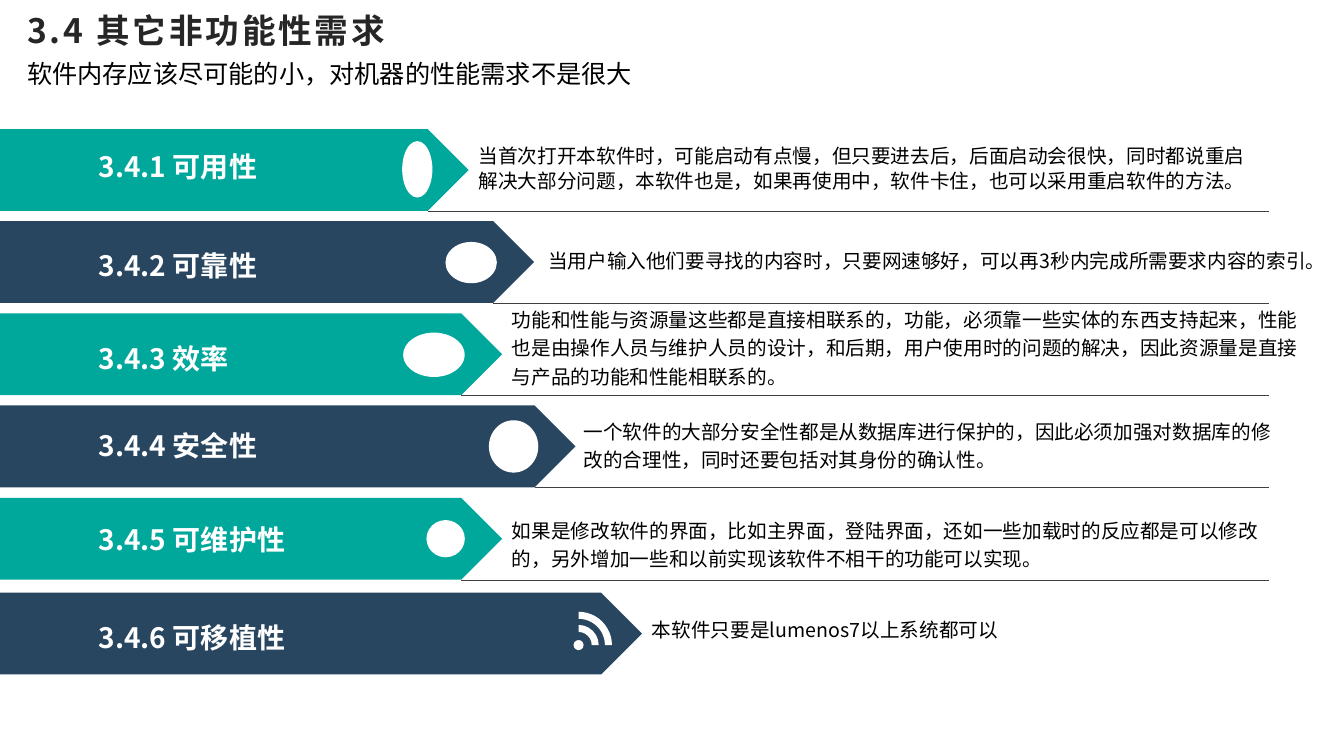
from lxml.etree import SubElement
from pptx import Presentation
from pptx.dml.color import RGBColor
from pptx.enum.shapes import MSO_CONNECTOR, MSO_SHAPE
from pptx.enum.text import MSO_ANCHOR, MSO_AUTO_SIZE, PP_ALIGN
from pptx.oxml.ns import qn
from pptx.util import Pt

TEAL = RGBColor(0x00, 0xA8, 0x9C)
NAVY = RGBColor(0x29, 0x46, 0x61)
WHITE = RGBColor(0xFF, 0xFF, 0xFF)
BLACK = RGBColor(0x00, 0x00, 0x00)
DARK = RGBColor(0x26, 0x26, 0x26)
GREY = RGBColor(0x40, 0x40, 0x40)
FONT = "Noto Sans CJK SC"


def write(text, box=None, area=None, size=14, color=BLACK, bold=False, font=FONT,
          space=1.0, above=3.6, below=3.6, anchor=MSO_ANCHOR.TOP, track=0):
    area = [Pt(n) for n in area]
    if box is None:
        box = slide.shapes.add_textbox(*area)
    box.left, box.top, box.width, box.height = area
    frame = box.text_frame
    frame.word_wrap = True
    frame.auto_size = MSO_AUTO_SIZE.NONE
    frame.vertical_anchor = anchor
    frame.margin_left = frame.margin_right = Pt(7.2)
    frame.margin_top, frame.margin_bottom = Pt(above), Pt(below)
    para = frame.paragraphs[0]
    para.alignment = PP_ALIGN.LEFT
    para.line_spacing = space
    para.space_before = Pt(0)
    run = para.add_run()
    run.text = text
    run.font.size = Pt(size)
    run.font.bold = bold
    run.font.color.rgb = color
    run.font.name = font
    props = run.font._element
    SubElement(props, qn("a:ea")).set("typeface", FONT)
    if track:
        props.set("spc", str(track * 100))


def draw(kind, area, color):
    shape = slide.shapes.add_shape(kind, *[Pt(n) for n in area])
    shape.shadow.inherit = False
    shape.fill.solid()
    shape.fill.fore_color.rgb = color
    shape.line.fill.background()
    return shape


deck = Presentation()
deck.slide_width, deck.slide_height = Pt(960), Pt(540)
slide = deck.slides.add_slide(deck.slide_layouts[0])
title, lead = slide.placeholders

write("3.4 其它非功能性需求", box=title, area=(12.2, 3.6, 854.6, 51.1),
      size=24, color=DARK, bold=True, track=2)
write("软件内存应该尽可能的小，对机器的性能需求不是很大", box=lead,
      area=(12.2, 38.2, 823, 28.8), size=18, font="Arial")

rows = [
    ("可用性", 92.2, 334.8, 100.8, (287.3, 100.8, 21.6, 40.3),
     (334.8, 100.8, 571.7, 41), 1.1,
     "当首次打开本软件时，可能启动有点慢，但只要进去后，后面启动会很快，同时都说重启"
     "解决大部分问题，本软件也是，如果再使用中，软件卡住，也可以采用重启软件的方法。"),
    ("可靠性", 157.9, 381.6, 171.4, (318.2, 172.8, 36.7, 29.5),
     (384.5, 174.2, 565.2, 27.4), 1.2,
     "当用户输入他们要寻找的内容时，只要网速够好，可以再3秒内完成所需要求内容的索引。"),
    ("效率", 223.8, 358.6, 237.6, (288, 237.6, 43.9, 31.7),
     (358.6, 216.7, 586.1, 99.4), 1.2,
     "功能和性能与资源量这些都是直接相联系的，功能，必须靠一些实体的东西支持起来，性能"
     "也是由操作人员与维护人员的设计，和后期，用户使用时的问题的解决，因此资源量是直接"
     "与产品的功能和性能相联系的。"),
    ("安全性", 289.6, 411.1, 300.2, (349.2, 300.2, 35.3, 37.4),
     (409.7, 296.6, 511.9, 58.3), 1.2,
     "一个软件的大部分安全性都是从数据库进行保护的，因此必须加强对数据库的修"
     "改的合理性，同时还要包括对其身份的确认性。"),
    ("可维护性", 355.6, 358.6, 367.2, (304.6, 371.5, 27.4, 26.6),
     (358.6, 367.2, 548.6, 42.5), 1.2,
     "如果是修改软件的界面，比如主界面，登陆界面，还如一些加载时的反应都是可以修改"
     "的，另外增加一些和以前实现该软件不相干的功能可以实现。"),
    ("可移植性", 423.3, 458.6, 437, (409.7, 457.2, 7.2, 7.2),
     (458.6, 439.9, 447.8, 27.4), 1.1,
     "本软件只要是lumenos7以上系统都可以"),
]
high = 58.5

for num, (name, top, wide, high_text, icon, area, space, text) in enumerate(rows, 1):
    arrow = draw(MSO_SHAPE.RIGHT_ARROW, (0, top, wide, high), TEAL if num in (1, 3, 5) else NAVY)
    arrow.adjustments[0], arrow.adjustments[1] = 1, 0.5
    draw(MSO_SHAPE.OVAL, icon, WHITE)
    write(f"3.4.{num} {name}", area=(63.4, high_text, 190, 30.2), size=20, color=WHITE,
          bold=True, space=1.1, below=0, anchor=MSO_ANCHOR.BOTTOM)
    write(text, area=area, space=space, above=0)
    if num < len(rows):
        base = Pt(top + high + 0.2)
        rule = slide.shapes.add_connector(
            MSO_CONNECTOR.STRAIGHT, Pt(wide - high / 2), base, Pt(906.6), base)
        rule.line.color.rgb = GREY
        rule.line.width = Pt(0.25)
        SubElement(rule._element.spPr, qn("a:effectLst"))

for reach in (14.4, 23.8):
    wave = draw(MSO_SHAPE.BLOCK_ARC, (413.3 - reach, 460.8 - reach, 2 * reach, 2 * reach), WHITE)
    wave.adjustments[0], wave.adjustments[1] = 162, 0
    wave.adjustments[2] = 2.5 / reach

deck.save("out.pptx")
